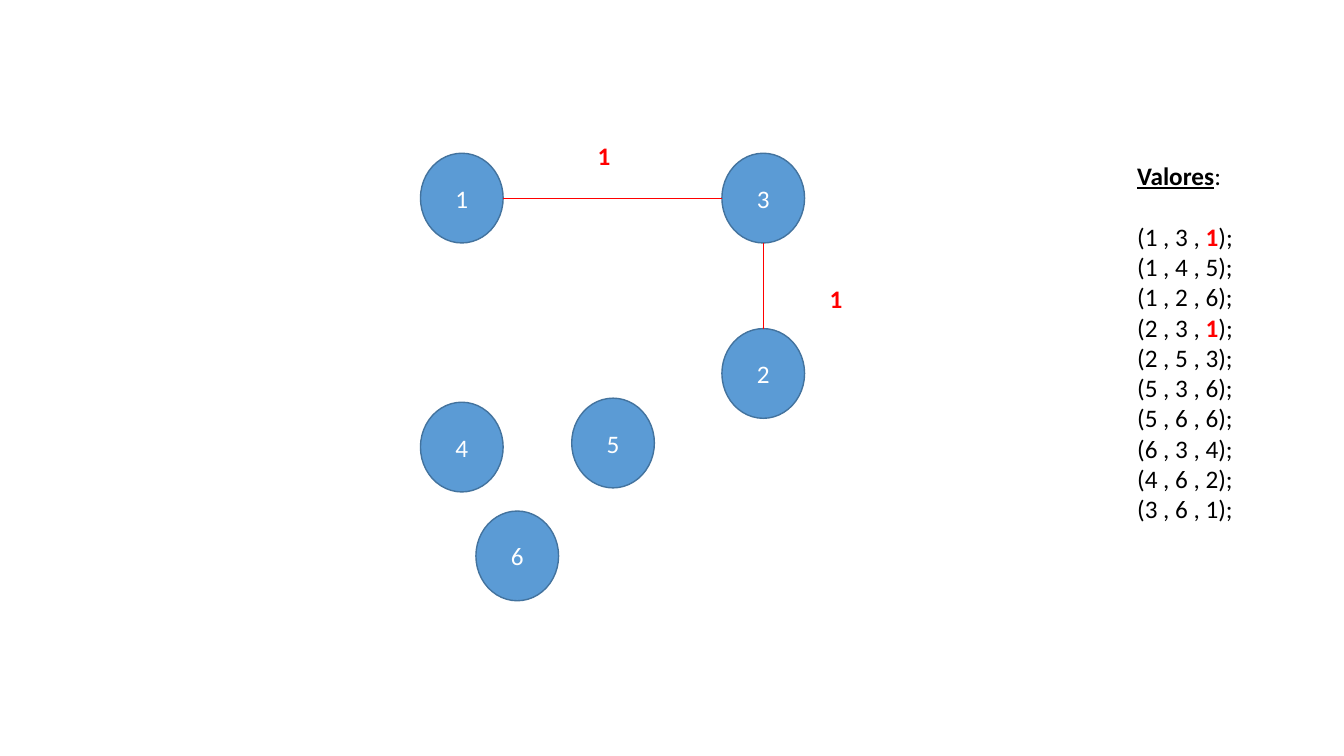
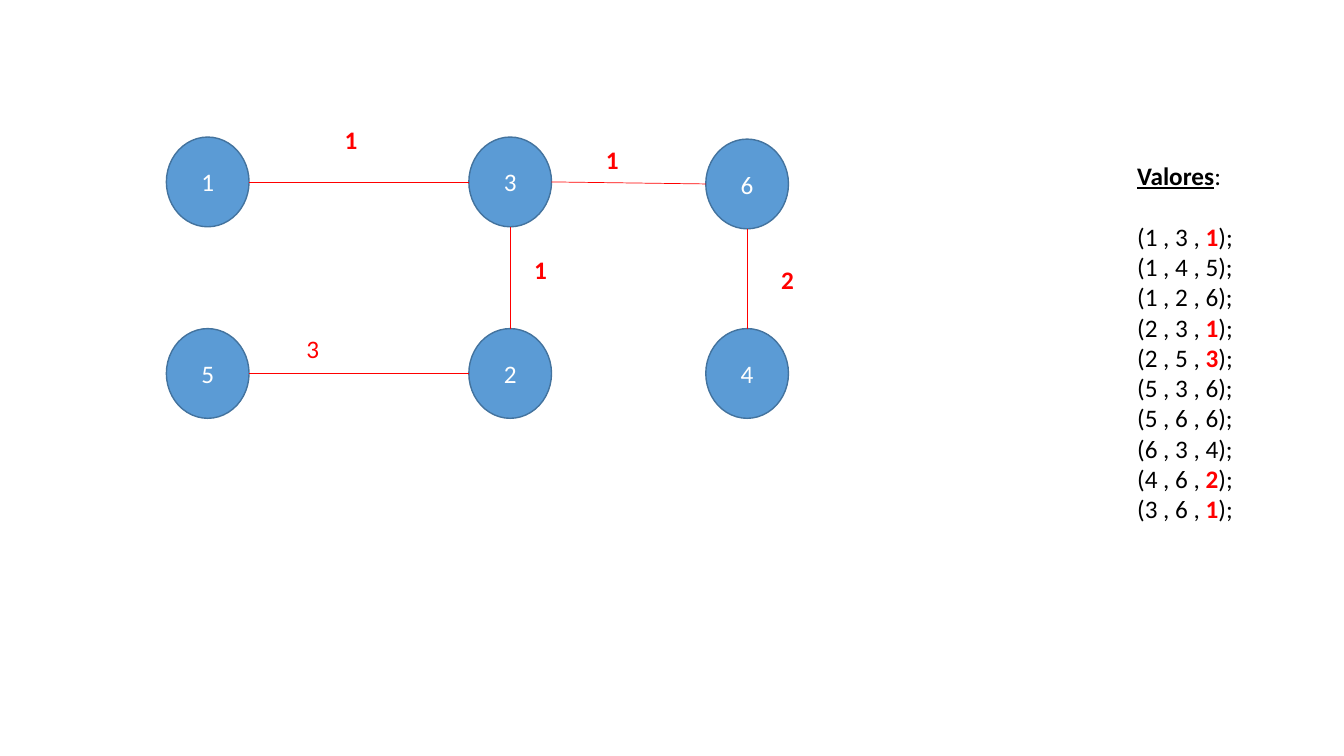
from pptx import Presentation
from pptx import util as u
from pptx.dml import color
from pptx.enum import shapes, text
from pptx.oxml import ns
from lxml import etree

# Shared look
COLORS = {"node": "5B9BD5", "outline": "43739E", "label": "FFFFFF",
          "ink": "000000", "chosen": "FF0000"}
BASE_FONT = {"name": "Calibri", "size": u.Pt(18)}
NODE_W, NODE_H = 0.82, 0.89

# Weighted edges of the graph: (node, node, weight)
VALUES = [(1, 3, 1), (1, 4, 5), (1, 2, 6), (2, 3, 1), (2, 5, 3),
          (5, 3, 6), (5, 6, 6), (6, 3, 4), (4, 6, 2), (3, 6, 1)]
WEIGHTS = {(a, b): weight for a, b, weight in VALUES}

# Steps of the spanning tree:
# nodes are number: (left, top); edges are (a, b): (label left, top, width, bold)
STEPS = [
    {"nodes": {1: (4.17, 1.52), 2: (7.16, 3.26), 3: (7.16, 1.52),
               4: (4.17, 3.99), 5: (5.67, 3.95), 6: (4.72, 5.07)},
     "edges": {(1, 3): (5.83, 1.34, 0.48, True),
               (2, 3): (8.13, 2.76, 0.48, True)}},
    {"nodes": {1: (1.65, 1.36), 2: (4.65, 3.26), 3: (4.65, 1.36),
               4: (7, 3.26), 5: (1.65, 3.26), 6: (7, 1.38)},
     "edges": {(1, 3): (3.32, 1.18, 0.48, True),
               (2, 3): (5.2, 2.47, 0.48, True),
               (3, 6): (5.91, 1.38, 0.41, True),
               (4, 6): (7.65, 2.57, 0.39, True),
               (2, 5): (2.94, 3.26, 0.53, False)}},
]


def rgb(key):
    return color.RGBColor.from_string(COLORS[key])


def add_run(paragraph, words, ink="ink", **extra):
    run = paragraph.add_run()
    run.text = words
    for attribute, value in {**BASE_FONT, **extra}.items():
        setattr(run.font, attribute, value)
    run.font.color.rgb = rgb(ink)


def add_text_frame(slide, left, top, width, height, **settings):
    box = slide.shapes.add_textbox(*map(u.Inches, (left, top, width, height)))
    frame = box.text_frame
    defaults = {"word_wrap": True, "auto_size": text.MSO_AUTO_SIZE.SHAPE_TO_FIT_TEXT}
    for attribute, value in {**defaults, **settings}.items():
        setattr(frame, attribute, value)
    return frame


def add_node(slide, number, left, top):
    node = slide.shapes.add_shape(
        shapes.MSO_SHAPE.FLOWCHART_CONNECTOR,
        *map(u.Inches, (left, top, NODE_W, NODE_H)))
    node.shadow.inherit = False
    node.fill.solid()
    node.fill.fore_color.rgb = rgb("node")
    node.line.color.rgb = rgb("outline")
    node.line.width = u.Pt(1)
    node.text_frame.vertical_anchor = text.MSO_ANCHOR.MIDDLE
    caption = node.text_frame.paragraphs[0]
    caption.alignment = text.PP_ALIGN.CENTER
    add_run(caption, str(number), "label")


def edge_ends(start, end):
    """Facing rim points of two nodes given by their top-left corners."""
    (x1, y1), (x2, y2) = [(x + NODE_W / 2, y + NODE_H / 2) for x, y in (start, end)]
    if abs(x2 - x1) > abs(y2 - y1):
        reach = NODE_W / 2 if x2 > x1 else -NODE_W / 2
        return x1 + reach, y1, x2 - reach, y2
    reach = NODE_H / 2 if y2 > y1 else -NODE_H / 2
    return x1, y1 + reach, x2, y2 - reach


def add_edge(slide, start, end):
    edge = slide.shapes.add_connector(
        shapes.MSO_CONNECTOR.STRAIGHT, *map(u.Inches, edge_ends(start, end)))
    edge.line.color.rgb = rgb("chosen")
    edge.line.width = u.Pt(0.5)
    etree.SubElement(edge.element.spPr, ns.qn("a:effectLst"))


def add_weight(slide, weight, left, top, width, bold):
    frame = add_text_frame(slide, left, top, width, 0.4)
    add_run(frame.paragraphs[0], str(weight), "chosen", bold=bold)


def add_values(slide, chosen):
    frame = add_text_frame(slide, 11.18, 1.24, 1.25, 4.04,
                           margin_top=u.Inches(0.35))
    heading = frame.paragraphs[0]
    heading.space_after = u.Pt(22)
    add_run(heading, "Valores", bold=True, underline=True)
    add_run(heading, ":")
    for a, b, weight in VALUES:
        row = frame.add_paragraph()
        if (a, b) in chosen:
            add_run(row, f"({a} , {b} , ")
            add_run(row, str(weight), "chosen", bold=True)
            add_run(row, ");")
        else:
            add_run(row, f"({a} , {b} , {weight});")


def add_step(deck, nodes, edges):
    slide = deck.slides.add_slide(deck.slide_layouts[6])
    for number, corner in nodes.items():
        add_node(slide, number, *corner)
    add_values(slide, edges)
    for (a, b), label in edges.items():
        add_edge(slide, nodes[a], nodes[b])
        add_weight(slide, WEIGHTS[a, b], *label)


def main():
    deck = Presentation()
    deck.slide_width, deck.slide_height = u.Inches(13.33), u.Inches(7.5)
    for step in STEPS:
        add_step(deck, **step)
    deck.save("out.pptx")


main()
